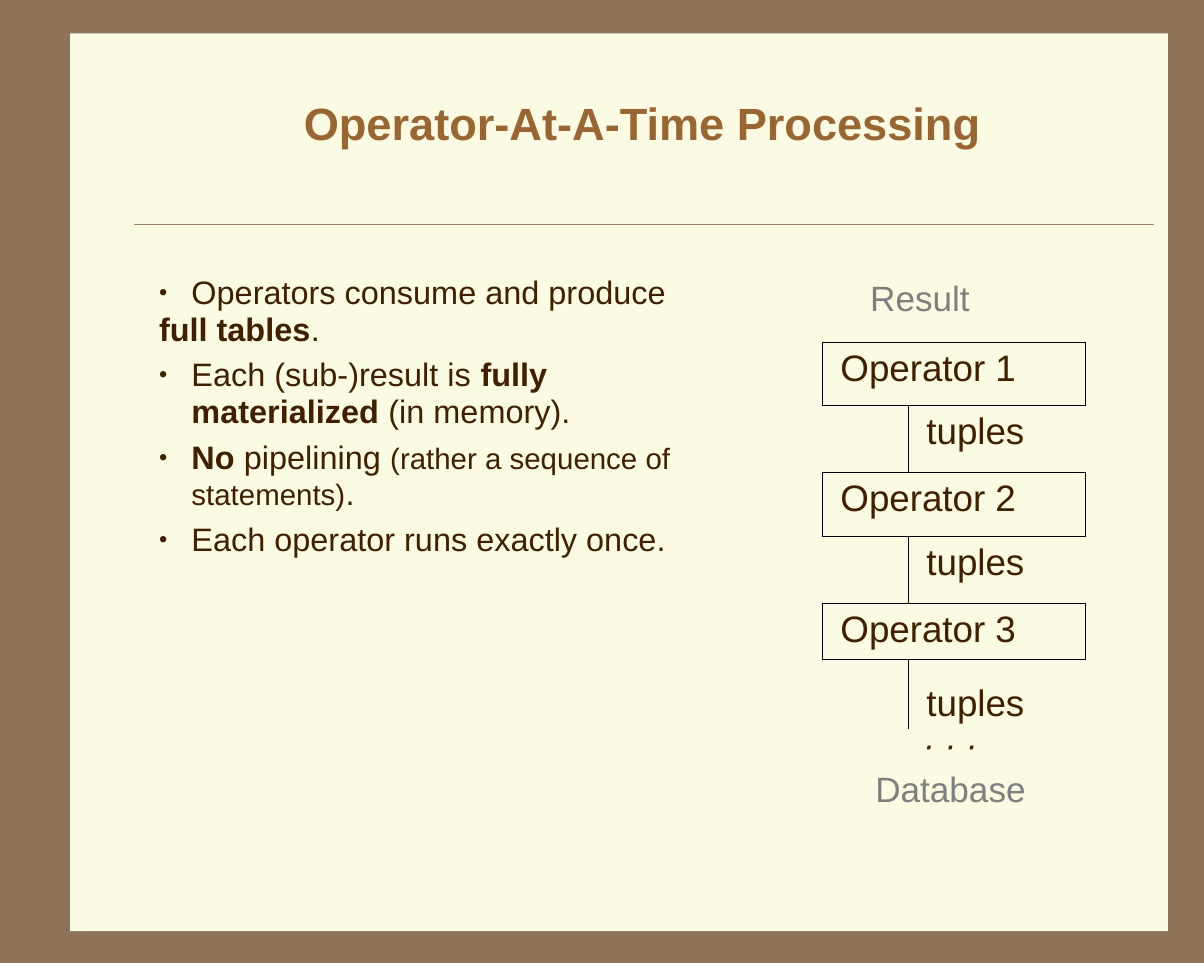
from lxml import etree
from pptx import Presentation
from pptx.dml.color import RGBColor
from pptx.enum.shapes import MSO_CONNECTOR, MSO_SHAPE
from pptx.enum.text import MSO_ANCHOR, MSO_AUTO_SIZE, PP_ALIGN
from pptx.oxml.ns import qn
from pptx.util import Pt

STRAIGHT = MSO_CONNECTOR.STRAIGHT
RECTANGLE = MSO_SHAPE.RECTANGLE
MIDDLE = MSO_ANCHOR.MIDDLE
NO_AUTOFIT = MSO_AUTO_SIZE.NONE
CENTER = PP_ALIGN.CENTER

COLORS = {
    "frame": "8C735A",
    "paper": "FBFAE2",
    "rule": "A08366",
    "title": "996633",
    "text": "402000",
    "muted": "7F7F7F",
    "border": "000000",
}


def format_runs(paragraph, size, color="text"):
    for run in paragraph.runs:
        run.font.name = "Arial"
        run.font.size = Pt(size)
        run.font.color.rgb = RGBColor.from_string(COLORS[color])


def add_text_frame(left, top, width, height):
    """Add a wrapping text box without insets and return its text frame."""
    box = slide.shapes.add_textbox(Pt(left), Pt(top), Pt(width), Pt(height))
    frame = box.text_frame
    frame.word_wrap = True
    frame.margin_left = frame.margin_right = Pt(0)
    frame.margin_top = frame.margin_bottom = Pt(0)
    return frame


presentation = Presentation()
presentation.slide_width = Pt(720)
presentation.slide_height = Pt(576)
slide = presentation.slides.add_slide(presentation.slide_layouts[5])
background = slide.background.fill
background.solid()
background.fore_color.rgb = RGBColor.from_string(COLORS["frame"])

# Paper and rule, placed behind the title
paper = slide.shapes.add_shape(RECTANGLE, Pt(42), Pt(20), Pt(656.5), Pt(537))
paper.shadow.inherit = False
paper.fill.solid()
paper.fill.fore_color.rgb = RGBColor.from_string(COLORS["paper"])
paper.line.fill.background()

rule = slide.shapes.add_connector(STRAIGHT, Pt(80), Pt(134.4), Pt(690), Pt(134.4))
rule.line.color.rgb = RGBColor.from_string(COLORS["rule"])
rule.line.width = Pt(0.25)
etree.SubElement(rule._element.spPr, qn("a:effectLst"))

# Title
title = slide.shapes.title
slide.shapes._spTree.append(title._element)
title.left, title.top, title.width, title.height = Pt(78), Pt(38), Pt(612), Pt(70)
title.text_frame.text = "Operator-At-A-Time Processing"
title.text_frame.auto_size = NO_AUTOFIT
title.text_frame.vertical_anchor = MIDDLE
title_paragraph = title.text_frame.paragraphs[0]
title_paragraph.alignment = CENTER
format_runs(title_paragraph, 27, "title")
title_paragraph.runs[0].font.bold = True

# Bullets: has bullet, line spacing, space before, runs of (text, bold)
BULLETS = [
    (True, 0.9, 0, [("Operators consume and produce", False)]),
    (False, 0.9, 0.7, [("full tables", True), (".", False)]),
    (True, 0.93, 5.9, [("Each (sub-)result is ", False),
                       ("fully materialized ", True), ("(in memory).", False)]),
    (True, 0.93, 5.9, [("No ", True), ("pipelining ", False),
                       ("(rather a sequence of statements)", False), (".", False)]),
    (True, 0.9, 6.5, [("Each operator runs exactly once.", False)]),
]
bullet_frame = add_text_frame(93.6, 165.6, 327.6, 208.8)
for index, (has_bullet, spacing, before, runs) in enumerate(BULLETS):
    paragraph = bullet_frame.paragraphs[0] if index == 0 else bullet_frame.add_paragraph()
    paragraph.line_spacing = spacing
    paragraph.space_before = Pt(before)
    properties = paragraph._p.get_or_add_pPr()
    properties.set("marL", str(Pt(20.9)))
    properties.set("indent", str(Pt(-19.4)))
    if has_bullet:
        color = etree.SubElement(properties, qn("a:buClr"))
        etree.SubElement(color, qn("a:srgbClr"), val=COLORS["text"])
        etree.SubElement(properties, qn("a:buSzPct"), val="73000")
        etree.SubElement(properties, qn("a:buFont"), typeface="Arial")
        etree.SubElement(properties, qn("a:buChar"), char="•")
    else:
        etree.SubElement(properties, qn("a:buNone"))
    for text, bold in runs:
        run = paragraph.add_run()
        run.text = text
        run.font.bold = bold
    format_runs(paragraph, 19.4)
    for run in paragraph.runs:
        if run.text.startswith("(rather"):
            run.font.size = Pt(17.6)

# Labels above and below the operator chain
result_frame = add_text_frame(520.4, 165.6, 94.5, 28.8)
result_frame.text = "Result"
format_runs(result_frame.paragraphs[0], 21, "muted")

database_frame = add_text_frame(504.7, 432, 127.4, 57)
database_frame.text = "· · ·\nDatabase"
dots, database = database_frame.paragraphs
dots.alignment = database.alignment = CENTER
database.space_before = Pt(1.8)
format_runs(dots, 21)
format_runs(database, 21, "muted")
dots.runs[0].font.italic = True

# Operator chain: full-width operator rows alternate with tuple rows
ROW_HEIGHTS = [38, 40, 38, 40, 32, 42]
COLUMN_WIDTHS = [51.4, 106]
chain = slide.shapes.add_table(
    len(ROW_HEIGHTS), len(COLUMN_WIDTHS), Pt(491.8), Pt(204.6),
    Pt(sum(COLUMN_WIDTHS)), Pt(sum(ROW_HEIGHTS))).table
chain.first_row = chain.horz_banding = False
for column, width in zip(chain.columns, COLUMN_WIDTHS):
    column.width = Pt(width)

for row, height in enumerate(ROW_HEIGHTS):
    chain.rows[row].height = Pt(height)
    is_operator = row % 2 == 0
    is_last = row == len(ROW_HEIGHTS) - 1
    for column in range(len(COLUMN_WIDTHS)):
        cell = chain.cell(row, column)
        if is_operator:
            sides = "LRTB"
        else:
            sides = ("RT" if column == 0 else "LT") + ("" if is_last else "B")
        properties = cell._tc.get_or_add_tcPr()
        for side in "LRTB":
            border = etree.SubElement(properties, qn(f"a:ln{side}"), w=str(Pt(0.17)))
            if side in sides:
                fill = etree.SubElement(border, qn("a:solidFill"))
                etree.SubElement(fill, qn("a:srgbClr"), val=COLORS["border"])
            else:
                etree.SubElement(border, qn("a:noFill"))
        cell.fill.background()
    if is_operator:
        chain.cell(row, 0).merge(chain.cell(row, 1))
        cell, text = chain.cell(row, 0), f"Operator {row // 2 + 1}"
    else:
        cell, text = chain.cell(row, 1), "tuples"
    cell.margin_left = Pt(10.8)
    if is_last:
        cell.margin_top, cell.margin_bottom = Pt(14.3), Pt(0)
    cell.text_frame.text = text
    format_runs(cell.text_frame.paragraphs[0], 22)

presentation.save("out.pptx")
